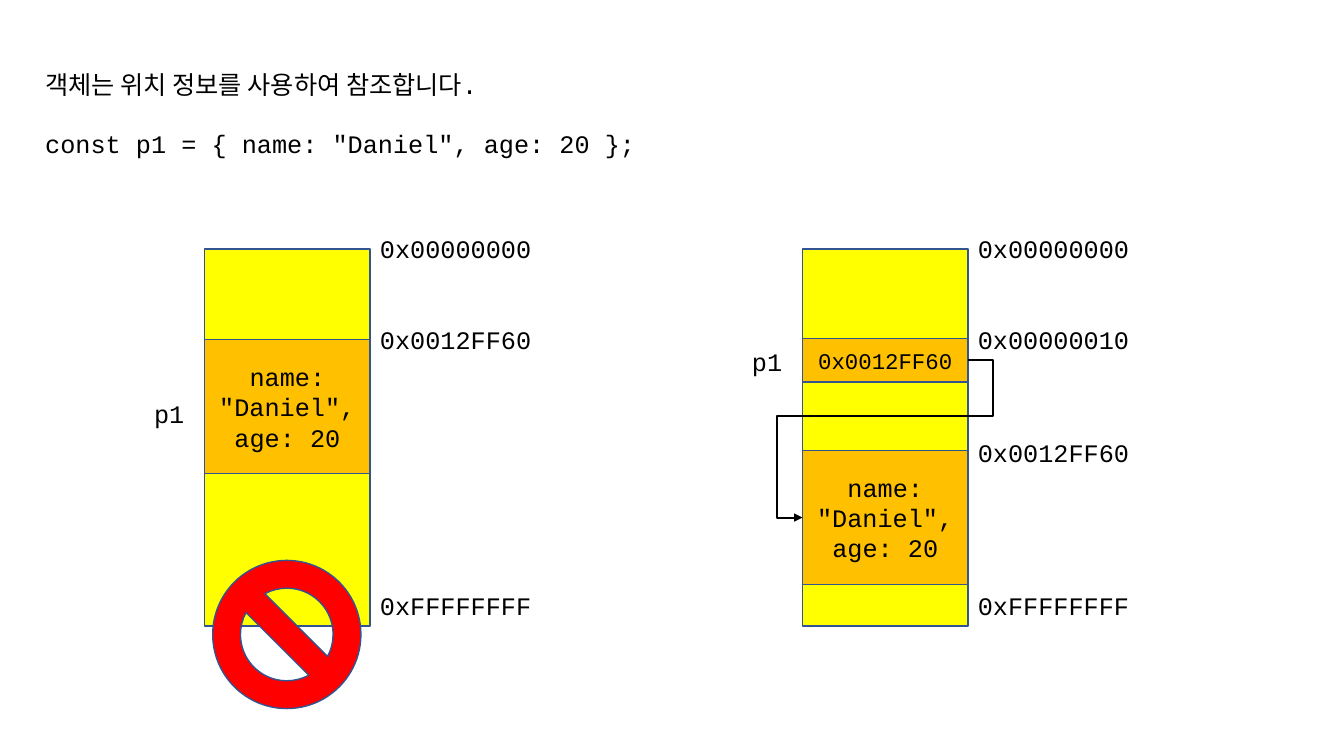
"""Builds a slide comparing direct object storage with storage by reference."""
import lxml.etree
import pptx
import pptx.dml.color
import pptx.enum.shapes
import pptx.enum.text
import pptx.oxml.ns
import pptx.util

Inches, Pt = pptx.util.Inches, pptx.util.Pt
qn = pptx.oxml.ns.qn
SHAPE = pptx.enum.shapes.MSO_SHAPE

INTRO = ["객체는 위치 정보를 사용하여 참조합니다.",
         'const p1 = { name: "Daniel", age: 20 };']
PERSON = ['name: "Daniel",', "age: 20"]
TOP, BAR_W, BAR_H = 2.47, 1.64, 3.74
LABEL_W, LABEL_H, NAME_W, NAME_GAP = 1.71, 0.4, 0.5, 0.1
MEMORIES = [
    {"left": 2.03, "name_top": 3.9,
     "addresses": [("0x00000000", 2.27), ("0x0012FF60", 3.17), ("0xFFFFFFFF", 5.81)],
     "cells": [(PERSON, 3.37, 1.33, 18)]},
    {"left": 7.96, "name_top": 3.39,
     "addresses": [("0x00000000", 2.27), ("0x00000010", 3.17),
                   ("0x0012FF60", 4.29), ("0xFFFFFFFF", 5.81)],
     "cells": [(PERSON, 4.47, 1.33, 18), (["0x0012FF60"], 3.36, 0.43, 16)]},
]
BENDS = [-15200, 35600, 115200]


def rgb(value):
    return pptx.dml.color.RGBColor.from_string(value)


def write(tf, lines, size=18, align="LEFT", gap=0):
    for i, line in enumerate(lines):
        p = tf.paragraphs[0] if i == 0 else tf.add_paragraph()
        p.alignment = getattr(pptx.enum.text.PP_ALIGN, align)
        p.space_before = Pt(gap if i else 0)
        r = p.add_run()
        r.text = line
        r.font.size, r.font.name = Pt(size), "Courier New"
        r.font.color.rgb = rgb("000000")


def label(lines, left, top, width, height, **fmt):
    tf = s.shapes.add_textbox(*map(Inches, (left, top, width, height))).text_frame
    tf.word_wrap = False
    tf.auto_size = pptx.enum.text.MSO_AUTO_SIZE.SHAPE_TO_FIT_TEXT
    write(tf, lines, **fmt)


def block(kind, left, top, width, height, fill):
    sp = s.shapes.add_shape(kind, *map(Inches, (left, top, width, height)))
    sp.shadow.inherit = False
    sp.fill.solid()
    sp.fill.fore_color.rgb = rgb(fill)
    sp.line.color.rgb = rgb("325491")
    sp.line.width = Pt(1)
    return sp


def memory(left, name_top, addresses, cells):
    block(SHAPE.RECTANGLE, left, TOP, BAR_W, BAR_H, "FFFF00")
    for address, top in addresses:
        label([address], left + BAR_W, top, LABEL_W, LABEL_H)
    label(["p1"], left - NAME_GAP - NAME_W, name_top, NAME_W, LABEL_H)
    boxes = []
    for lines, top, height, size in cells:
        sp = block(SHAPE.RECTANGLE, left, top, BAR_W, height, "FFC000")
        sp.text_frame.vertical_anchor = pptx.enum.text.MSO_ANCHOR.MIDDLE
        write(sp.text_frame, lines, size=size, align="CENTER")
        boxes.append(sp)
    return boxes


def reference_arrow(source, target):
    c = s.shapes.add_connector(pptx.enum.shapes.MSO_CONNECTOR.ELBOW, 0, 0, 0, 0)
    c.begin_connect(source, 3)
    c.end_connect(target, 1)
    c.line.color.rgb = rgb("000000")
    c.line.width = Pt(1.5)
    sub = lxml.etree.SubElement
    sub(c.line._get_or_add_ln(), qn("a:tailEnd"), type="triangle")
    props = c._element.spPr
    sub(props, qn("a:effectLst"))
    geom = props.find(qn("a:prstGeom"))
    geom.set("prst", "bentConnector5")
    guides = geom.find(qn("a:avLst"))
    for i, bend in enumerate(BENDS, 1):
        sub(guides, qn("a:gd"), name=f"adj{i}", fmla=f"val {bend}")


prs = pptx.Presentation()
prs.slide_width, prs.slide_height = Inches(13.33), Inches(7.5)
s = prs.slides.add_slide(prs.slide_layouts[6])

label(INTRO, 0.35, 0.64, 6.08, 1.01, gap=20.4)
direct, by_reference = MEMORIES
memory(**direct)
block(SHAPE.NO_SYMBOL, 2.11, 5.56, 1.47, 1.47, "FF0000")
person, pointer = memory(**by_reference)
reference_arrow(pointer, person)

prs.save("out.pptx")
